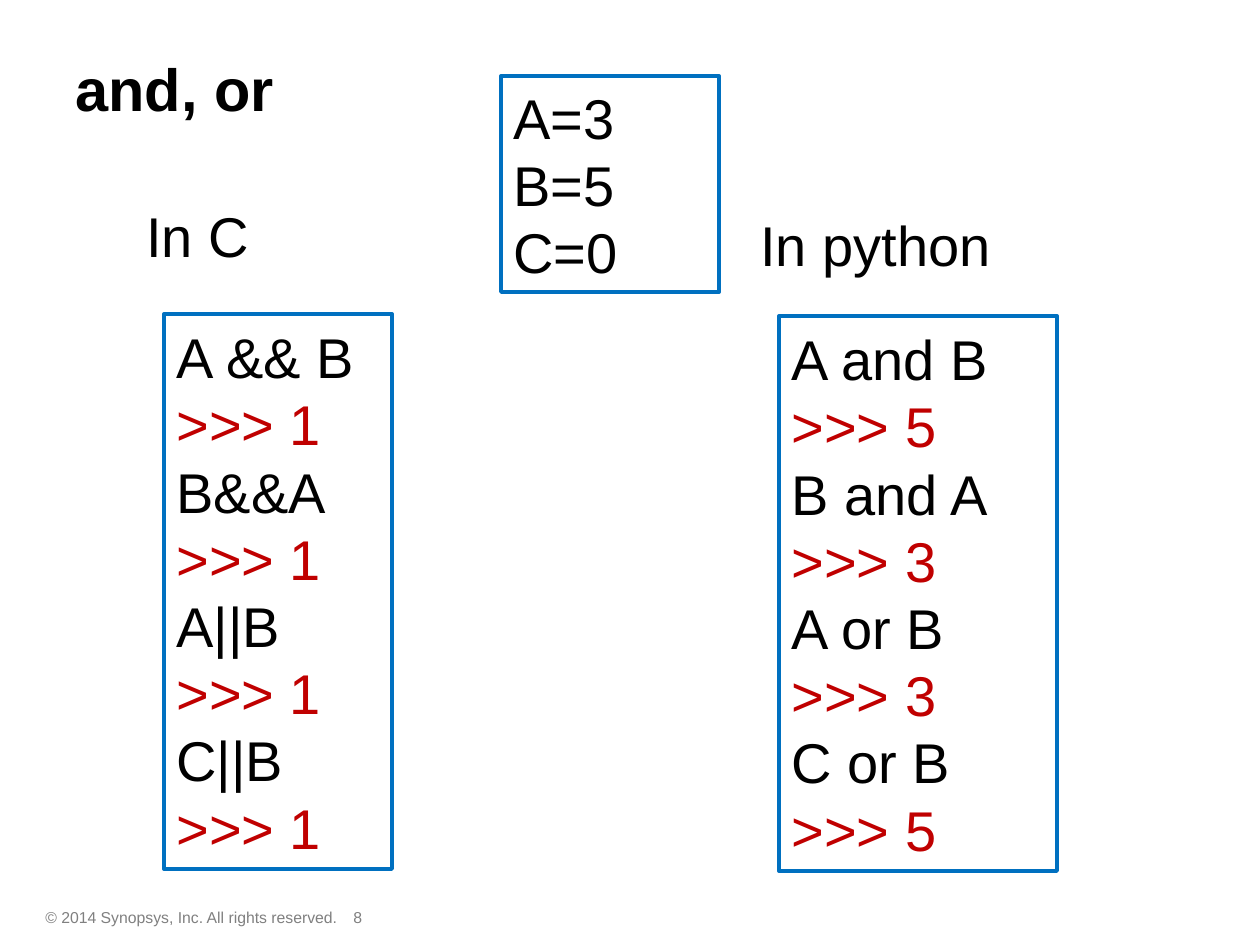
"""Build the slide on and/or in C and Python."""
from dataclasses import dataclass

from pptx import Presentation
from pptx import util as u
from pptx.dml.color import RGBColor
from pptx.enum import shapes, text

SCALE = 914400 / 126
HUES = {"ink": "000000", "out": "C00000", "edge": "0070C0", "foot": "808080"}
PROMPT = ">>>"


@dataclass
class Block:
    left: int
    top: int
    width: int
    height: int
    lines: list[str]
    size: int = 32
    hue: str = "ink"
    framed: bool = False


def px(num: int) -> u.Emu:
    return u.Emu(round(num * SCALE))


def color(name: str) -> RGBColor:
    return RGBColor.from_string(HUES[name])


def place(shape, left: int, top: int, width: int, height: int) -> None:
    shape.left, shape.top = px(left), px(top)
    shape.width, shape.height = px(width), px(height)


def style(para, size: int, hue: str, bold: bool = False) -> None:
    font = para.font
    font.name, font.size, font.bold = "Arial", u.Pt(size), bold
    font.color.rgb = color(hue)
    para.alignment = text.PP_ALIGN.LEFT


def draw(slide, block: Block) -> None:
    area = [px(n) for n in (block.left, block.top, block.width, block.height)]
    if block.framed:
        shape = slide.shapes.add_shape(shapes.MSO_SHAPE.RECTANGLE, *area)
        shape.shadow.inherit = False
        shape.fill.background()
        shape.line.color.rgb = color("edge")
        shape.line.width = u.Pt(2.25)
    else:
        shape = slide.shapes.add_textbox(*area)
    frame = shape.text_frame
    frame.word_wrap = True
    frame.vertical_anchor = text.MSO_ANCHOR.MIDDLE
    frame.text = "\n".join(block.lines)
    for para in frame.paragraphs:
        hue = "out" if para.text.startswith(PROMPT) else block.hue
        style(para, block.size, hue)
        para.line_spacing = u.Pt(block.size * 1.2)


def session(pairs: list[tuple[str, int]]) -> list[str]:
    return [line for code, val in pairs for line in (code, f"{PROMPT} {val}")]


def main() -> None:
    deck = Presentation()
    deck.slide_width, deck.slide_height = px(1260), px(945)
    slide = deck.slides.add_slide(deck.slide_layouts[5])

    title = slide.shapes.title
    place(title, 63, 9, 1197, 158)
    title.text_frame.text = "and, or"
    title.text_frame.vertical_anchor = text.MSO_ANCHOR.MIDDLE
    style(title.text_frame.paragraphs[0], 34, "ink", True)

    c_code = session([("A && B", 1), ("B&&A", 1), ("A||B", 1), ("C||B", 1)])
    py_code = session([("A and B", 5), ("B and A", 3), ("A or B", 3), ("C or B", 5)])
    blocks = [
        Block(33, 901, 388, 32, ["© 2014 Synopsys, Inc. All rights reserved."], 9, "foot"),
        Block(341, 901, 88, 32, ["8"], 9, "foot"),
        Block(501, 76, 218, 216, ["A=3", "B=5", "C=0"], framed=True),
        Block(164, 314, 228, 555, c_code, framed=True),
        Block(134, 195, 258, 81, ["In C"]),
        Block(748, 204, 258, 81, ["In python"]),
        Block(779, 316, 278, 555, py_code, framed=True),
    ]
    for block in blocks:
        draw(slide, block)
    deck.save("out.pptx")


if __name__ == "__main__":
    main()
